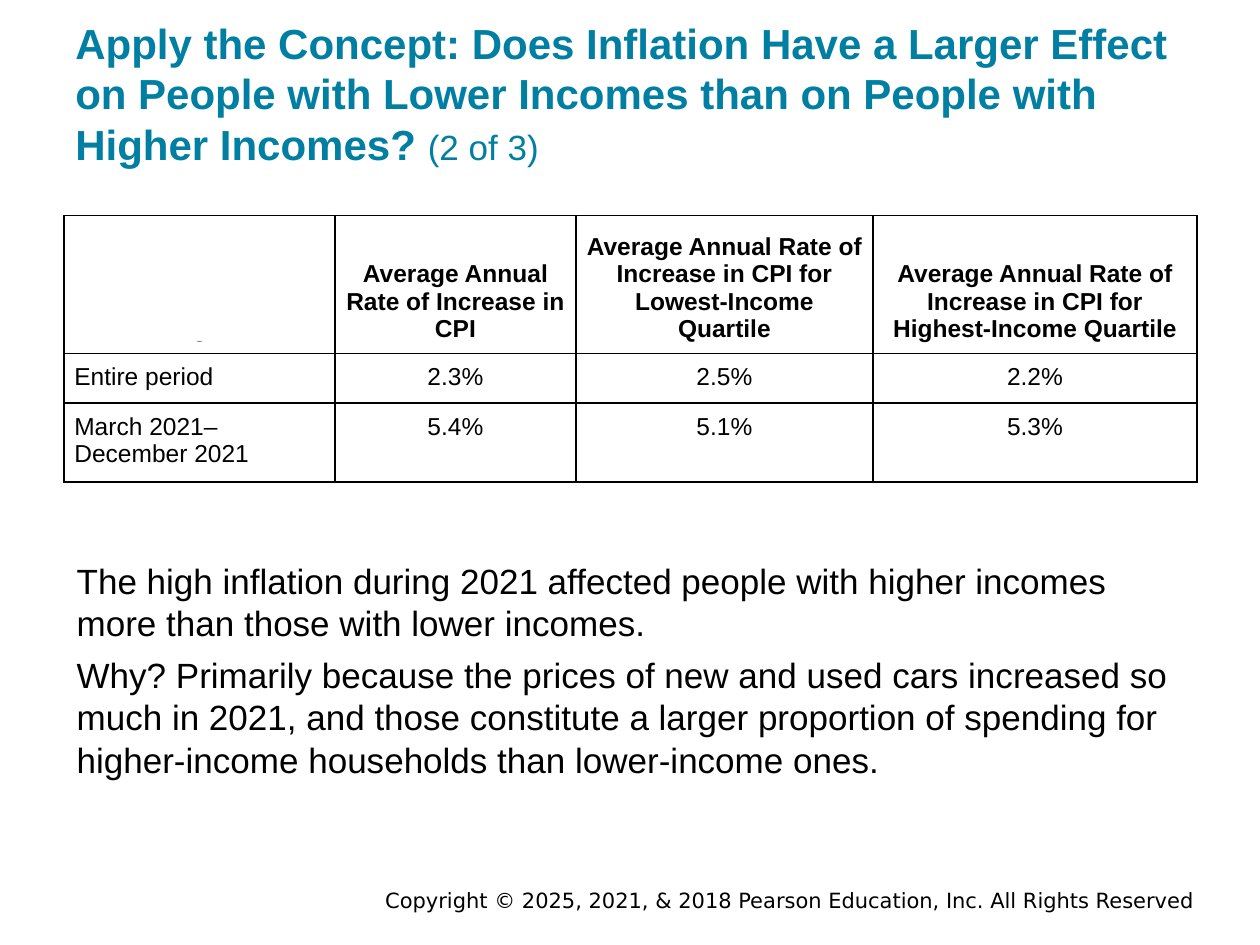
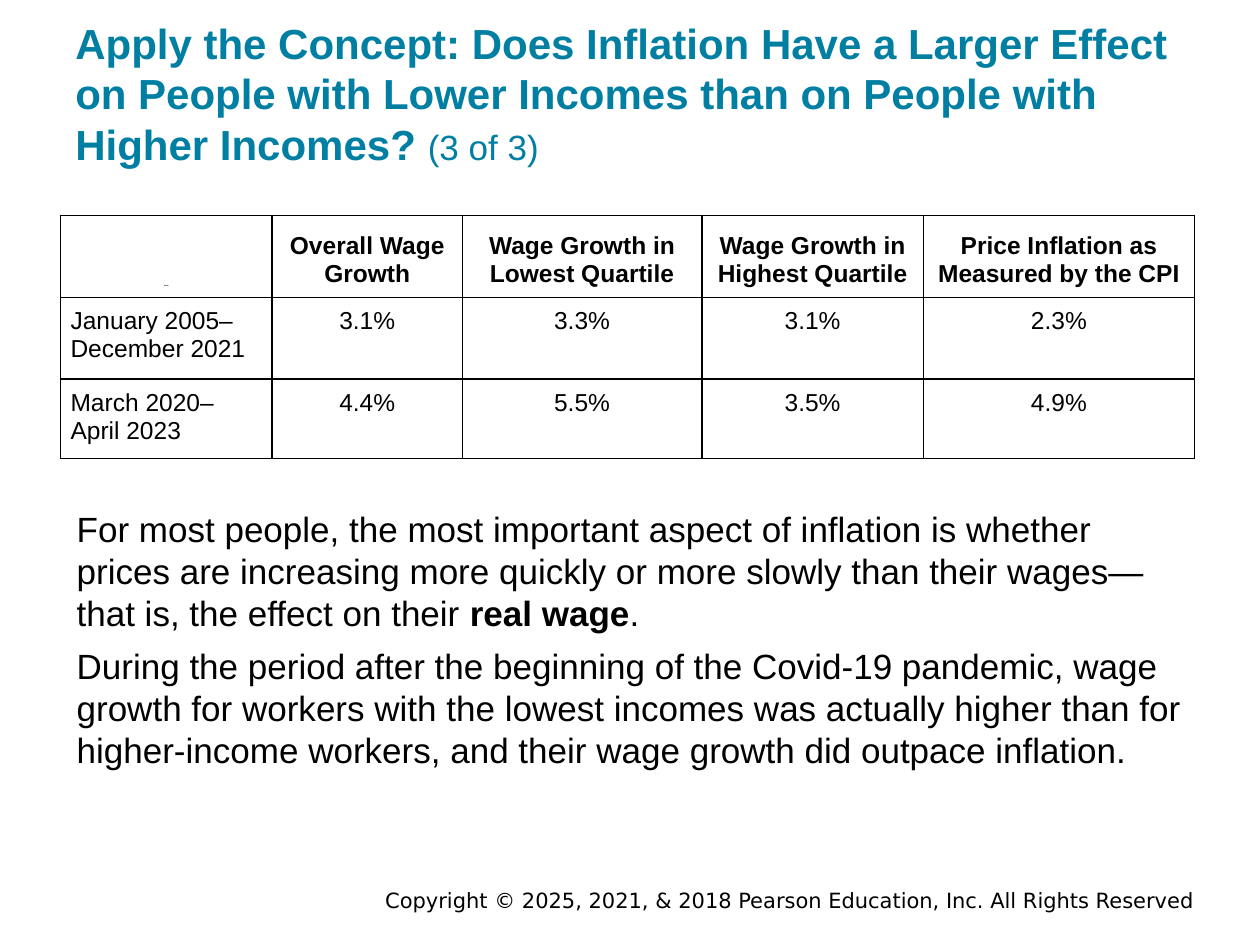
import pptx
import pptx.dml.color
import pptx.enum.text
import pptx.oxml
import pptx.oxml.ns
import pptx.util

Inches, Pt = pptx.util.Inches, pptx.util.Pt
ALIGN, ANCHOR = pptx.enum.text.PP_ALIGN, pptx.enum.text.MSO_ANCHOR

COLORS = {"title": "007FA3", "text": "000000", "border": "000000", "page": "FFFFFF"}
FONT, FOOTER_FONT = "Arial", "DejaVu Sans"

TITLE = ("Apply the Concept: Does Inflation Have a Larger Effect on People with "
         "Lower Incomes than on People with Higher Incomes? ")
FOOTER = "Copyright © 2025, 2021, & 2018 Pearson Education, Inc. All Rights Reserved"
TITLE_BOX = (0.5, 0.08, 9, 1.36)
FOOTER_BOX = (1.75, 7.03, 7.83, 0.22)
CORNER_CELL = ("blank", {"size": 1})

# A paragraph is a string or a list of runs; a run is a string or (string, format).
SLIDES = [
    {
        "part": "(2 of 3)",
        "table_at": (0.51, 1.71),
        "columns": [2.15, 1.91, 2.36, 2.57],
        "rows": [1.08, 0.38, 0.59],
        "table": [
            [[[CORNER_CELL]],
             ["Average Annual Rate of Increase in CPI"],
             ["Average Annual Rate of Increase in CPI for Lowest-Income Quartile"],
             ["Average Annual Rate of Increase in CPI for Highest-Income Quartile"]],
            [["Entire period"], ["2.3%"], ["2.5%"], ["2.2%"]],
            [["March 2021–\nDecember 2021"], ["5.4%"], ["5.1%"], ["5.3%"]],
        ],
        "body_box": (0.51, 4.34, 8.99, 2.04),
        "body": [
            "The high inflation during 2021 affected people with higher incomes more "
            "than those with lower incomes.",
            "Why? Primarily because the prices of new and used cars increased so much "
            "in 2021, and those constitute a larger proportion of spending for "
            "higher-income households than lower-income ones.",
        ],
    },
    {
        "part": "(3 of 3)",
        "table_at": (0.48, 1.71),
        "columns": [1.68, 1.51, 1.9, 1.76, 2.15],
        "rows": [0.65, 0.65, 0.6],
        "table": [
            [[[CORNER_CELL]],
             ["Overall Wage Growth"],
             ["Wage Growth in Lowest Quartile"],
             ["Wage Growth in Highest Quartile"],
             ["Price Inflation as Measured by the CPI"]],
            [["January 2005– December 2021"], ["3.1%"], ["3.3%"], ["3.1%"], ["2.3%"]],
            [["March 2020–", "April 2023"], ["4.4%"], ["5.5%"], ["3.5%"], ["4.9%"]],
        ],
        "body_box": (0.51, 3.93, 8.99, 2.41),
        "body": [
            ["For most people, the most important aspect of inflation is whether prices "
             "are increasing more quickly or more slowly than their wages—that is, the "
             "effect on their ", ("real wage", {"bold": True}), "."],
            "During the period after the beginning of the Covid-19 pandemic, wage growth "
            "for workers with the lowest incomes was actually higher than for "
            "higher-income workers, and their wage growth did outpace inflation.",
        ],
    },
]


def rgb(name):
    return pptx.dml.color.RGBColor.from_string(COLORS[name])


def write(tf, paragraphs, align=ALIGN.LEFT, before=0, **base):
    """Fill a text frame; a run's own format overrides the base format."""
    tf.word_wrap = True
    for i, runs in enumerate(paragraphs):
        p = tf.add_paragraph() if i else tf.paragraphs[0]
        p.alignment = align
        p.space_before = Pt(before if i else 0)
        for run in [runs] if isinstance(runs, str) else runs:
            text, own = (run, {}) if isinstance(run, str) else run
            look = {"size": 14, "bold": False, "color": "text", "font": FONT, **base, **own}
            for n, line in enumerate(text.split("\n")):
                if n:
                    p.add_line_break()
                r = p.add_run()
                r.text = line
                r.font.name, r.font.size = look["font"], Pt(look["size"])
                r.font.bold, r.font.color.rgb = look["bold"], rgb(look["color"])


def add_text(slide, box, paragraphs, anchor=ANCHOR.TOP, inset=0.1, **look):
    tf = slide.shapes.add_textbox(*map(Inches, box)).text_frame
    tf.vertical_anchor = anchor
    tf.margin_left = tf.margin_right = Inches(0.1)
    tf.margin_top = tf.margin_bottom = Inches(inset)
    write(tf, paragraphs, **look)


def add_borders(cell):
    for side in "LRTB":
        cell._tc.get_or_add_tcPr().append(pptx.oxml.parse_xml(
            f'<a:ln{side} {pptx.oxml.ns.nsdecls("a")} w="12700"><a:solidFill>'
            f'<a:srgbClr val="{COLORS["border"]}"/></a:solidFill></a:ln{side}>'))


def add_data_table(slide, at, columns, rows, cells):
    size = (sum(columns), sum(rows))
    table = slide.shapes.add_table(len(rows), len(columns), *map(Inches, at + size)).table
    table.first_row = table.horz_banding = False
    for column, width in zip(table.columns, columns):
        column.width = Inches(width)
    for i, (row, height) in enumerate(zip(table.rows, rows)):
        row.height = Inches(height)
        for j, cell in enumerate(row.cells):
            add_borders(cell)
            cell.fill.background()
            cell.margin_left = cell.margin_right = Inches(0.08)
            cell.margin_top = cell.margin_bottom = Inches(0.08)
            header = i == 0
            cell.vertical_anchor = ANCHOR.BOTTOM if header else ANCHOR.TOP
            write(cell.text_frame, cells[i][j], bold=header,
                  align=ALIGN.CENTER if header or j else ALIGN.LEFT)


def add_slide(prs, content):
    s = prs.slides.add_slide(prs.slide_layouts[6])
    s.background.fill.solid()
    s.background.fill.fore_color.rgb = rgb("page")
    add_text(s, FOOTER_BOX, [FOOTER], anchor=ANCHOR.MIDDLE, inset=0.05,
             align=ALIGN.RIGHT, size=12, font=FOOTER_FONT)
    part = (content["part"], {"size": 20, "bold": False})
    add_text(s, TITLE_BOX, [[TITLE, part]], anchor=ANCHOR.BOTTOM,
             size=24, bold=True, color="title")
    add_data_table(s, content["table_at"], content["columns"], content["rows"],
                   content["table"])
    add_text(s, content["body_box"], content["body"], size=20, before=6)


def main():
    prs = pptx.Presentation()
    prs.slide_width, prs.slide_height = Inches(10), Inches(7.5)
    for content in SLIDES:
        add_slide(prs, content)
    prs.save("out.pptx")


if __name__ == "__main__":
    main()
